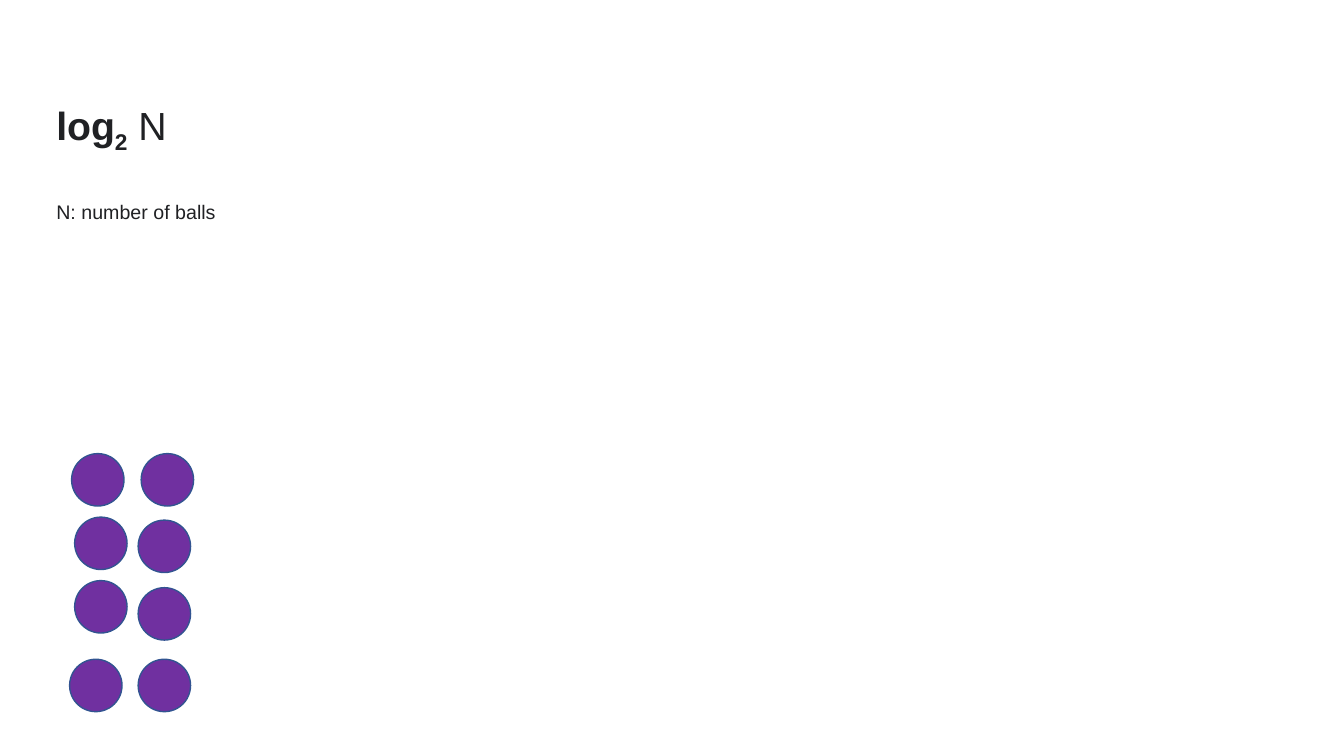
"""Build a slide showing eight balls and the formula log2 N."""
from pptx import Presentation
from pptx.dml.color import RGBColor
from pptx.enum.shapes import MSO_SHAPE as Shape
from pptx.enum.text import MSO_AUTO_SIZE as Fit
from pptx.util import Inches, Pt


def paint(color, code):
    color.rgb = RGBColor.from_string(code)


deck = Presentation()
deck.slide_width, deck.slide_height = Inches(13.33), Inches(7.5)
slide = deck.slides.add_slide(deck.slide_layouts[6])

columns = [
    [(0.71, 4.5), (0.74, 5.13), (0.74, 5.76), (0.69, 6.54)],
    [(1.4, 4.5), (1.37, 5.16), (1.37, 5.83), (1.37, 6.54)],
]
for column in columns:
    for left, top in column:
        ball = slide.shapes.add_shape(
            Shape.FLOWCHART_CONNECTOR,
            Inches(left), Inches(top), Inches(0.52), Inches(0.52))
        ball.shadow.inherit = False
        ball.fill.solid()
        paint(ball.fill.fore_color, "7030A0")
        paint(ball.line.color, "325491")
        ball.line.width = Pt(1)

box = slide.shapes.add_textbox(
    Inches(0.46), Inches(0.96), Inches(1.99), Inches(1.28))
frame = box.text_frame
frame.word_wrap = True
frame.auto_size = Fit.SHAPE_TO_FIT_TEXT

head = frame.paragraphs[0]
for text, bold in [("log", True), ("2", True), (" N", False)]:
    run = head.add_run()
    run.text = text
    run.font.bold = bold
    if text == "2":
        run._r.get_or_add_rPr().set("baseline", "-25000")

note = frame.add_paragraph()
note.text = "N: number of balls"
note.space_before = Pt(32)

for line, size in [(head, 28), (note, 14)]:
    line.font.name = "Arial"
    line.font.size = Pt(size)
    paint(line.font.color, "202124")

deck.save("out.pptx")
